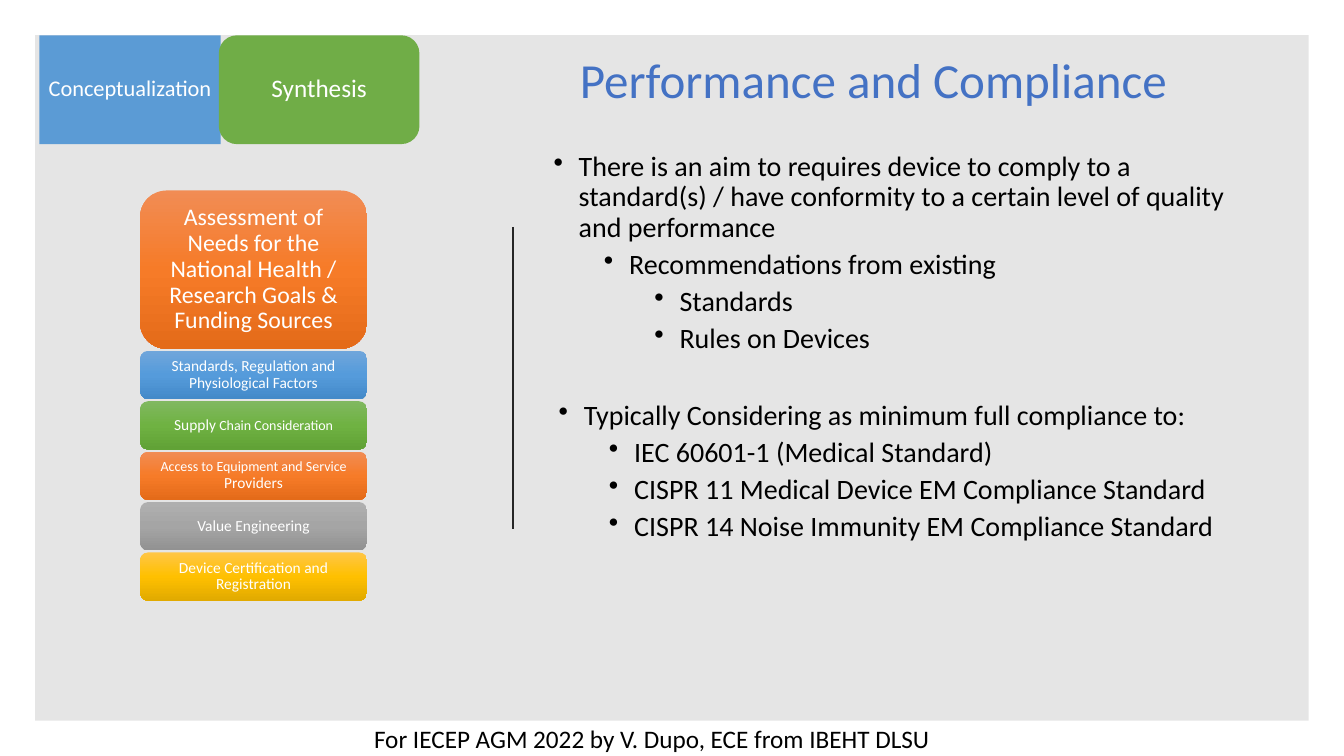
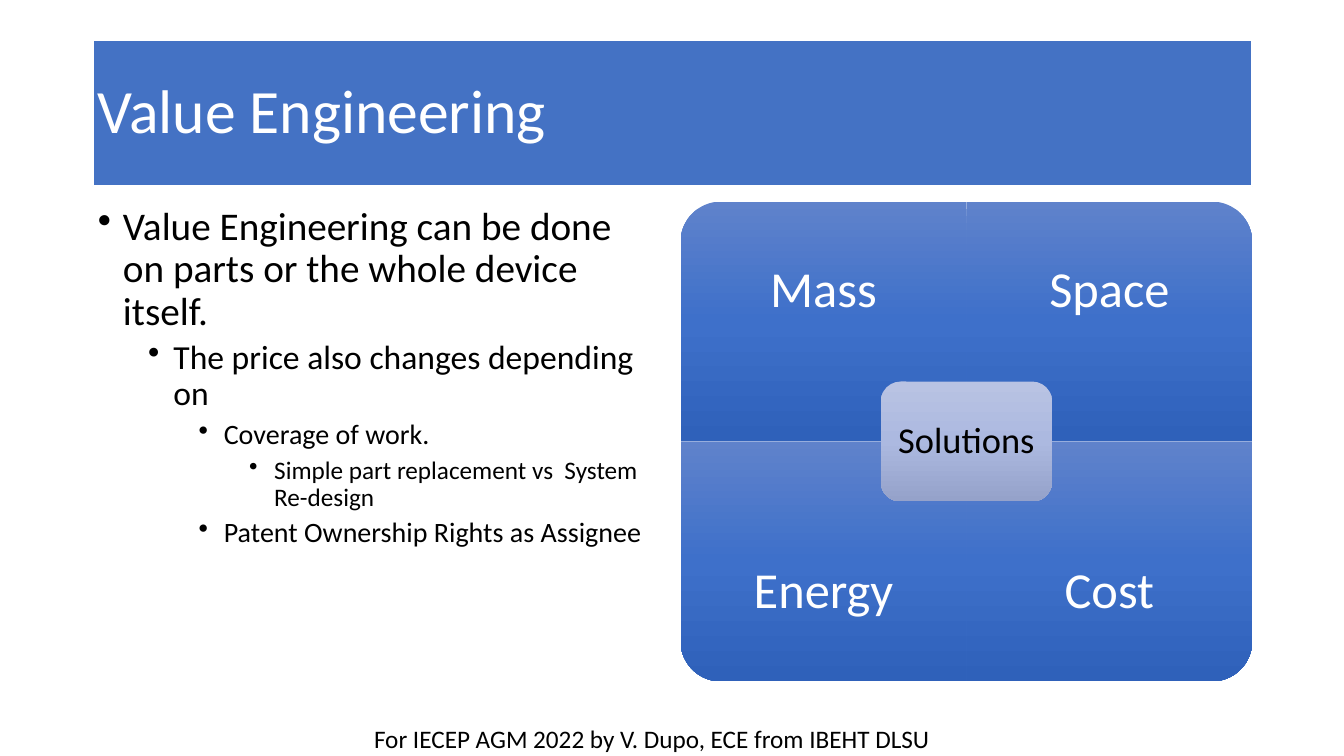
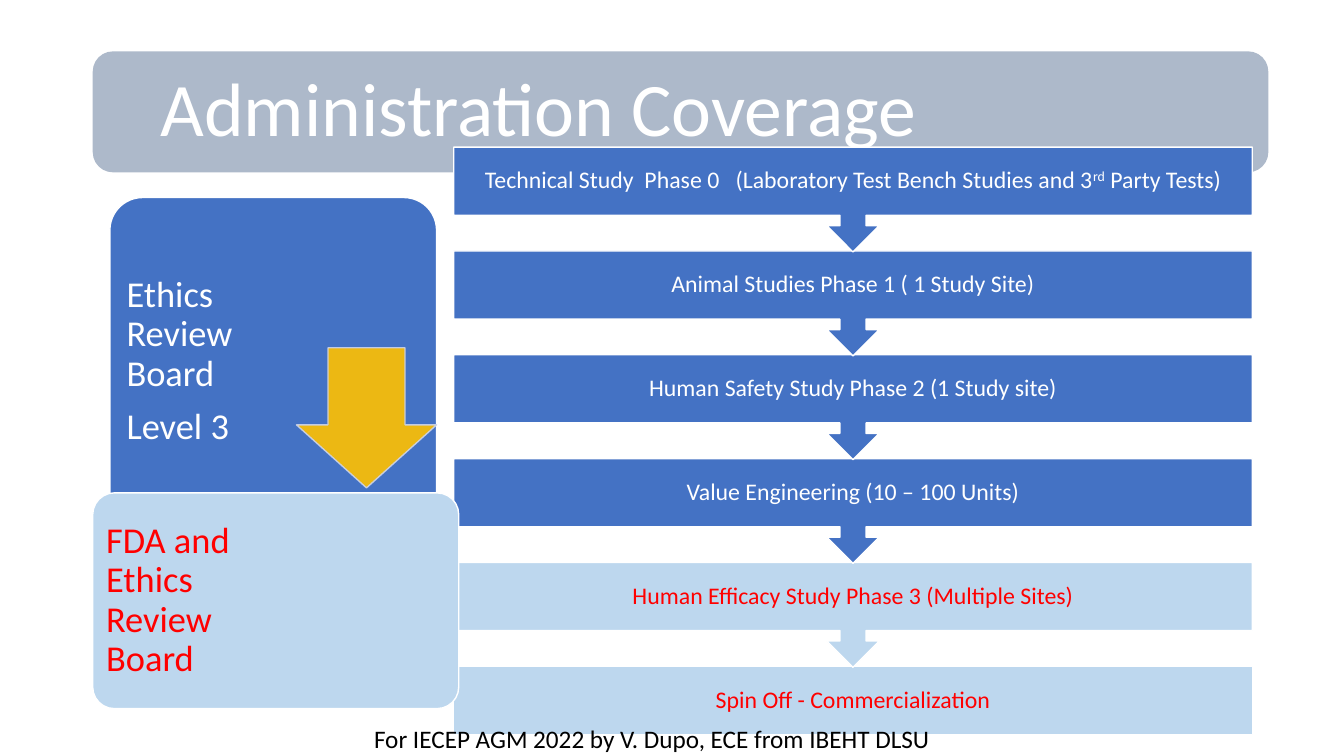
from copy import deepcopy
from math import cos, pi, sin

from lxml.etree import SubElement
from pptx import Presentation
from pptx.dml.color import RGBColor
from pptx.enum.shapes import MSO_CONNECTOR, MSO_SHAPE as SHAPE
from pptx.enum.text import MSO_ANCHOR as ANCHOR, MSO_AUTO_SIZE, PP_ALIGN as ALIGN
from pptx.oxml.ns import qn
from pptx.util import Inches, Pt

# Shared look
FONT = "Calibri"
FOOTER = "For IECEP AGM 2022 by V. Dupo, ECE from IBEHT DLSU"
WHITE = RGBColor(0xFF, 0xFF, 0xFF)
BLACK = RGBColor(0x00, 0x00, 0x00)
RED = RGBColor(0xFF, 0x00, 0x00)
BLUE = RGBColor(0x44, 0x72, 0xC4)
SKY = RGBColor(0x5B, 0x9B, 0xD5)
PALE_BLUE = RGBColor(0xBD, 0xD7, 0xEE)
GREEN = RGBColor(0x70, 0xAD, 0x47)
GOLD = RGBColor(0xFF, 0xC0, 0x00)
SLATE = RGBColor(0xAD, 0xB9, 0xCA)
RULE_GREY = RGBColor(0x26, 0x26, 0x26)
ARROW_EDGE = RGBColor(0xCD, 0xD4, 0xEA)

# Gradients, top to bottom
ORANGE_FADE, SKY_FADE, GREEN_FADE, GREY_FADE, GOLD_FADE, BLUE_FADE, LILAC_FADE = (
    [RGBColor.from_string(c) for c in stops.split()] for stops in (
        "F18C54 F67B28 E46B19", "70A6DB 559BDB 448AC9", "80B860 6FB242 61A236",
        "AFAFAF A5A5A5 929292", "FFC647 FFC000 E1AA00", "5F82CB 3E70CA 2F61BA",
        "B9C3E3 ACB9E0 95A2CA"))


def set_attrs(obj, values):
    for name, value in values.items():
        setattr(obj, name, value)


def set_frame(tf, anchor=ANCHOR.MIDDLE, left=0.05, top=0.05, right=0.05, bottom=0.05):
    set_attrs(tf, {
        "word_wrap": True, "auto_size": MSO_AUTO_SIZE.NONE, "vertical_anchor": anchor,
        "margin_left": Inches(left), "margin_top": Inches(top),
        "margin_right": Inches(right), "margin_bottom": Inches(bottom)})


def next_paragraph(tf):
    """The empty first paragraph, or a new one."""
    first = tf.paragraphs[0]
    return tf.add_paragraph() if first.runs else first


def write(tf, runs, color=WHITE, align=ALIGN.CENTER, before=0, spacing=0.9):
    """Add a paragraph made of (text, size) runs."""
    p = next_paragraph(tf)
    set_attrs(p, {"alignment": align, "line_spacing": spacing, "space_before": Pt(before)})
    for text, size in runs:
        r = p.add_run()
        r.text = text
        set_attrs(r.font, {"name": FONT, "size": Pt(size), "bold": False})
        r.font.color.rgb = color
    return p


def write_bullets(tf, items):
    """Add bulleted paragraphs from (level, text, size)."""
    for i, (level, text, size) in enumerate(items):
        before = 0 if i == 0 else 10 if level == 0 else 5
        p = write(tf, [(text, size)], BLACK, ALIGN.LEFT, before)
        p.level = level
        pPr = p._p.get_or_add_pPr()
        pPr.set("marL", str(Inches(0.25 + 0.5 * level)))
        pPr.set("indent", str(Inches(-0.25)))
        SubElement(pPr, qn("a:buChar")).set("char", "•")


def paint(sp, fill, line=None, weight=1):
    """Fill with one colour or a three-stop fade; outline if asked."""
    sp.shadow.inherit = False
    if isinstance(fill, list):
        sp.fill.gradient()
        sp.fill.gradient_angle = 270
        stops = sp.element.find(".//" + qn("a:gsLst"))
        stops.append(deepcopy(stops[0]))
        for stop, position, color in zip(sp.fill.gradient_stops, (0, 0.5, 1), fill):
            stop.position = position
            stop.color.rgb = color
    else:
        sp.fill.solid()
        sp.fill.fore_color.rgb = fill
    if line is None:
        sp.line.fill.background()
    else:
        sp.line.color.rgb = line
        sp.line.width = Pt(weight)


def set_opacity(sp, percent):
    for color in sp.element.spPr.iter(qn("a:srgbClr")):
        SubElement(color, qn("a:alpha")).set("val", str(percent * 1000))


def add_box(s, kind, box, fill, line=None):
    sp = s.shapes.add_shape(kind, *map(Inches, box))
    paint(sp, fill, line)
    set_frame(sp.text_frame)
    return sp


def add_text(s, box, anchor=ANCHOR.TOP):
    tf = s.shapes.add_textbox(*map(Inches, box)).text_frame
    set_frame(tf, anchor)
    return tf


def add_title(s, box, text, size, color=WHITE, align=ALIGN.LEFT, spacing=0.9):
    """Place the title above whatever is already drawn."""
    title = s.shapes.title
    set_attrs(title, dict(zip(("left", "top", "width", "height"), map(Inches, box))))
    set_frame(title.text_frame)
    write(title.text_frame, [(text, size)], color, align, spacing=spacing)
    title.element.getparent().append(title.element)
    return title


def add_footer(s):
    write(add_text(s, (3.66, 7.13, 6.57, 0.36)), [(FOOTER, 18)], BLACK, ALIGN.LEFT,
          spacing=1)


# Slide 1 regions
def add_tabs(s, left, top, height):
    for kind, x, width, fill, text, size in (
            (SHAPE.RECTANGLE, 0, 1.8, SKY, "Conceptualization", 16),
            (SHAPE.ROUNDED_RECTANGLE, 1.78, 1.99, GREEN, "Synthesis", 18)):
        sp = add_box(s, kind, (left + x, top, width, height), fill)
        write(sp.text_frame, [(text, size)])


def add_stack(s, left, top, width):
    """One tall heading block over equal small blocks."""
    head, row, gap = 1.57, 0.48, 0.02
    blocks = [
        (ORANGE_FADE, [("Assessment of Needs for the National Health / "
                        "Research Goals & Funding Sources", 17)]),
        (SKY_FADE, [("Standards, Regulation and Physiological Factors", 11)]),
        (GREEN_FADE, [("Supply", 11), (" Chain Consideration", 10)]),
        (ORANGE_FADE, [("Access to Equipment and Service ", 10), ("Providers", 11)]),
        (GREY_FADE, [("Value Engineering", 11)]),
        (GOLD_FADE, [("Device Certification and Registration", 11)]),
    ]
    for i, (fade, runs) in enumerate(blocks):
        height = row if i else head
        sp = add_box(s, SHAPE.ROUNDED_RECTANGLE, (left, top, width, height), fade)
        set_frame(sp.text_frame, left=0.06, right=0.06, top=0.02, bottom=0.02)
        write(sp.text_frame, runs)
        top += height + gap


def add_rule(s, x, top, bottom):
    line = s.shapes.add_connector(MSO_CONNECTOR.STRAIGHT, *map(Inches, (x, top, x, bottom)))
    line.line.color.rgb = RULE_GREY
    line.line.width = Pt(1.5)
    SubElement(line.element.spPr, qn("a:effectLst"))


def compliance_slide(s):
    panel = add_box(s, SHAPE.RECTANGLE, (0.35, 0.35, 12.63, 6.8), BLACK)
    set_opacity(panel, 10)
    add_title(s, (-0.2, 0.48, 11.83, 0.68), "Performance and Compliance", 35, BLUE,
              ALIGN.RIGHT)
    add_rule(s, 5.09, 2.25, 5.25)
    write_bullets(add_text(s, (5.44, 1.05, 6.84, 2.52), ANCHOR.BOTTOM), [
        (0, "There is an aim to requires device to comply to a standard(s) / have "
            "conformity to a certain level of quality and performance", 20),
        (1, "Recommendations from existing", 20),
        (2, "Standards", 20),
        (2, "Rules on Devices", 20)])
    write_bullets(add_text(s, (5.49, 3.93, 6.74, 2.52)), [
        (0, "Typically Considering as minimum full compliance to:", 20),
        (1, "IEC 60601-1 (Medical Standard)", 20),
        (1, "CISPR 11 Medical Device EM Compliance Standard", 20),
        (1, "CISPR 14 Noise Immunity EM Compliance Standard", 20)])
    add_tabs(s, 0.39, 0.35, 1.08)
    add_stack(s, 1.39, 1.89, 2.25)


# Slide 2 regions
def add_quadrant(s, cx, cy, width, height, dx, dy, text):
    """A block from the centre (cx, cy) towards (dx, dy), its outer corner rounded."""
    radius, steps = 0.4, 16
    ax, ay = cx + dx * (width - radius), cy + dy * (height - radius)
    angles = [pi / 2 * i / steps for i in range(steps + 1)]
    arc = [(ax + dx * radius * cos(a), ay + dy * radius * sin(a)) for a in angles]
    points = [(cx + dx * width, cy), *arc, (cx, cy + dy * height)]
    fb = s.shapes.build_freeform(Inches(cx), Inches(cy))
    fb.add_line_segments([(Inches(x), Inches(y)) for x, y in points], close=True)
    sp = fb.convert_to_shape()
    paint(sp, BLUE_FADE)
    inner = "bottom" if dy < 0 else "top"
    set_frame(sp.text_frame, **{inner: 0.65})
    write(sp.text_frame, [(text, 36)])


def add_matrix(s, left, top, width, height):
    half_w, half_h = width / 2, height / 2
    cx, cy = left + half_w, top + half_h
    for dx, dy, text in ((-1, -1, "Mass"), (1, -1, "Space"),
                         (-1, 1, "Energy"), (1, 1, "Cost")):
        add_quadrant(s, cx, cy, half_w, half_h, dx, dy, text)
    w, h = 0.3 * width, 0.25 * height
    sp = add_box(s, SHAPE.ROUNDED_RECTANGLE, (cx - w / 2, cy - h / 2, w, h), LILAC_FADE)
    write(sp.text_frame, [("Solutions", 26)], BLACK)


def value_slide(s):
    title = add_title(s, (0.92, 0.4, 11.5, 1.45), "Value Engineering", 44)
    paint(title, BLUE, WHITE, 1.5)
    write_bullets(add_text(s, (0.92, 2, 5.67, 4.76)), [
        (0, "Value Engineering can be done on parts or the whole device itself.", 28),
        (1, "The price also changes depending on", 24),
        (2, "Coverage of work.", 20),
        (3, "Simple part replacement vs  System Re-design", 18),
        (2, "Patent Ownership Rights as Assignee", 20)])
    add_matrix(s, 6.75, 2, 5.67, 4.76)


# Slide 3 regions
def add_steps(s, left, top, width):
    """Steps that point down to the next, drawn from the last up."""
    pitch, callout, plain = 1.03, 1.04, 0.68
    steps = [
        ("Technical Study  Phase 0   (Laboratory Test Bench Studies and 3", BLUE, WHITE),
        ("Animal Studies Phase 1 ( 1 Study Site)", BLUE, WHITE),
        ("Human Safety Study Phase 2 (1 Study site)", BLUE, WHITE),
        ("Value Engineering (10 – 100 Units)", BLUE, WHITE),
        ("Human Efficacy Study Phase 3 (Multiple Sites)", PALE_BLUE, RED),
        ("Spin Off - Commercialization", PALE_BLUE, RED),
    ]
    for i, (text, fill, color) in reversed(list(enumerate(steps))):
        last = i == len(steps) - 1
        kind = SHAPE.RECTANGLE if last else SHAPE.DOWN_ARROW_CALLOUT
        box = (left, top + i * pitch, width, plain if last else callout)
        sp = add_box(s, kind, box, fill, WHITE)
        runs = [(text, 17)] if i else [(text, 17), ("rd", 17), (" Party Tests)", 17)]
        p = write(sp.text_frame, runs, color)
    # The top step is drawn last: raise its ordinal
    p.runs[1]._r.get_or_add_rPr().set("baseline", "30000")


def add_board(s, box, fill, color, lines):
    sp = add_box(s, SHAPE.ROUNDED_RECTANGLE, box, fill, WHITE)
    sp.adjustments[0] = 0.1
    set_frame(sp.text_frame, left=0.07, right=1.8)
    for i, text in enumerate(lines):
        write(sp.text_frame, [(text, 26)], color, ALIGN.LEFT, 10 if i else 0)


def add_boards(s, left, top):
    add_board(s, (left + 0.17, top, 3.24, 3.26), BLUE, WHITE,
              ["Ethics Review Board", "Level 3"])
    add_board(s, (left, top + 2.93, 3.63, 2.14), PALE_BLUE, RED,
              ["FDA and Ethics Review Board"])
    arrow = add_box(s, SHAPE.DOWN_ARROW, (left + 2.02, top + 1.49, 1.39, 1.39),
                    GOLD, ARROW_EDGE)
    arrow.adjustments[0], arrow.adjustments[1] = 0.55, 0.45
    set_opacity(arrow, 90)


def administration_slide(s):
    add_box(s, SHAPE.ROUNDED_RECTANGLE, (0.92, 0.51, 11.66, 1.2), SLATE)
    add_title(s, (1.54, 0.65, 10.82, 0.81), "Administration Coverage", 54, spacing=1)
    add_steps(s, 4.5, 1.46, 7.92)
    add_boards(s, 0.92, 1.96)


def main():
    prs = Presentation()
    prs.slide_width, prs.slide_height = Inches(13.33), Inches(7.5)
    title_only = prs.slide_layouts[5]
    for build in (compliance_slide, value_slide, administration_slide):
        s = prs.slides.add_slide(title_only)
        build(s)
        add_footer(s)
    prs.save("out.pptx")


if __name__ == "__main__":
    main()
